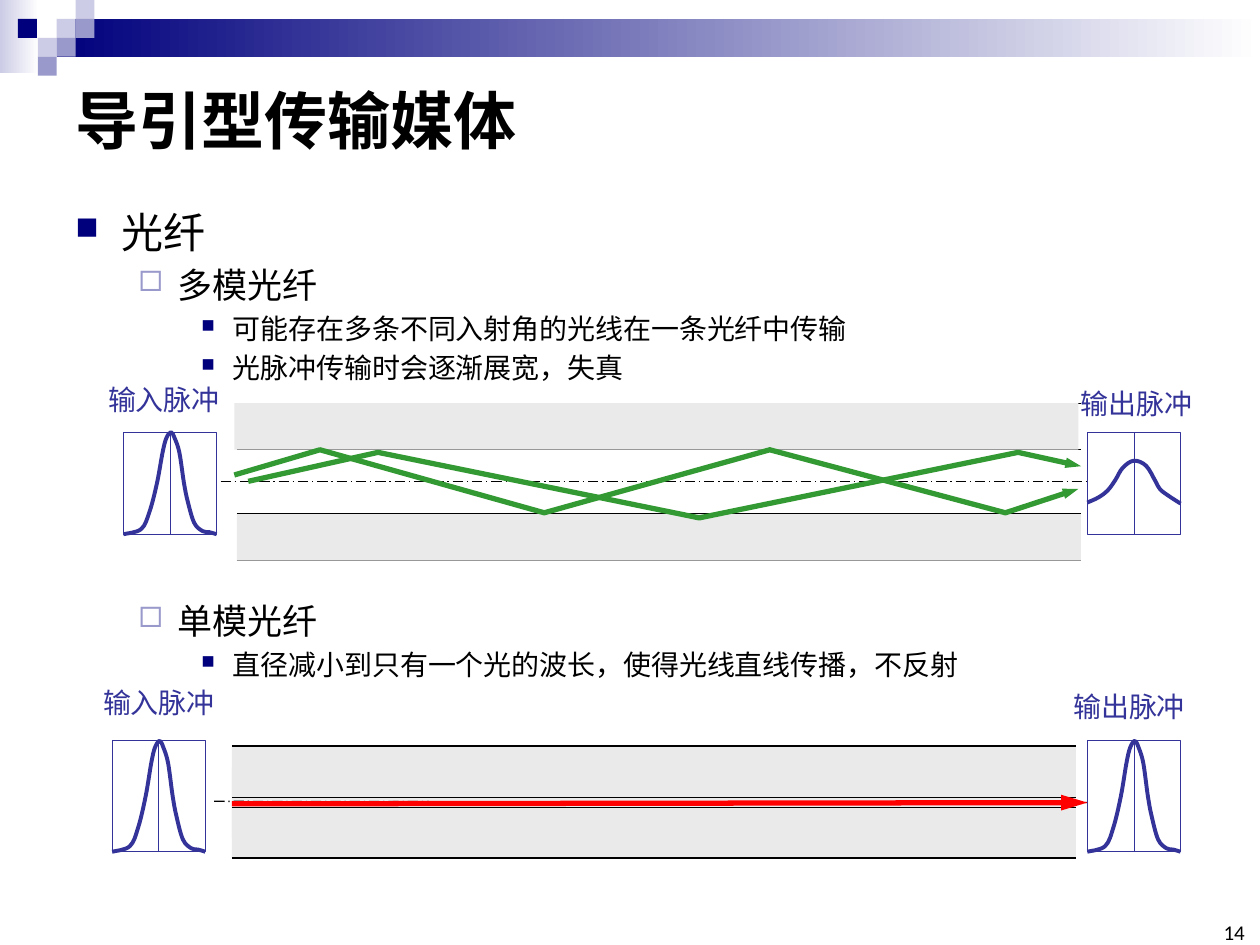
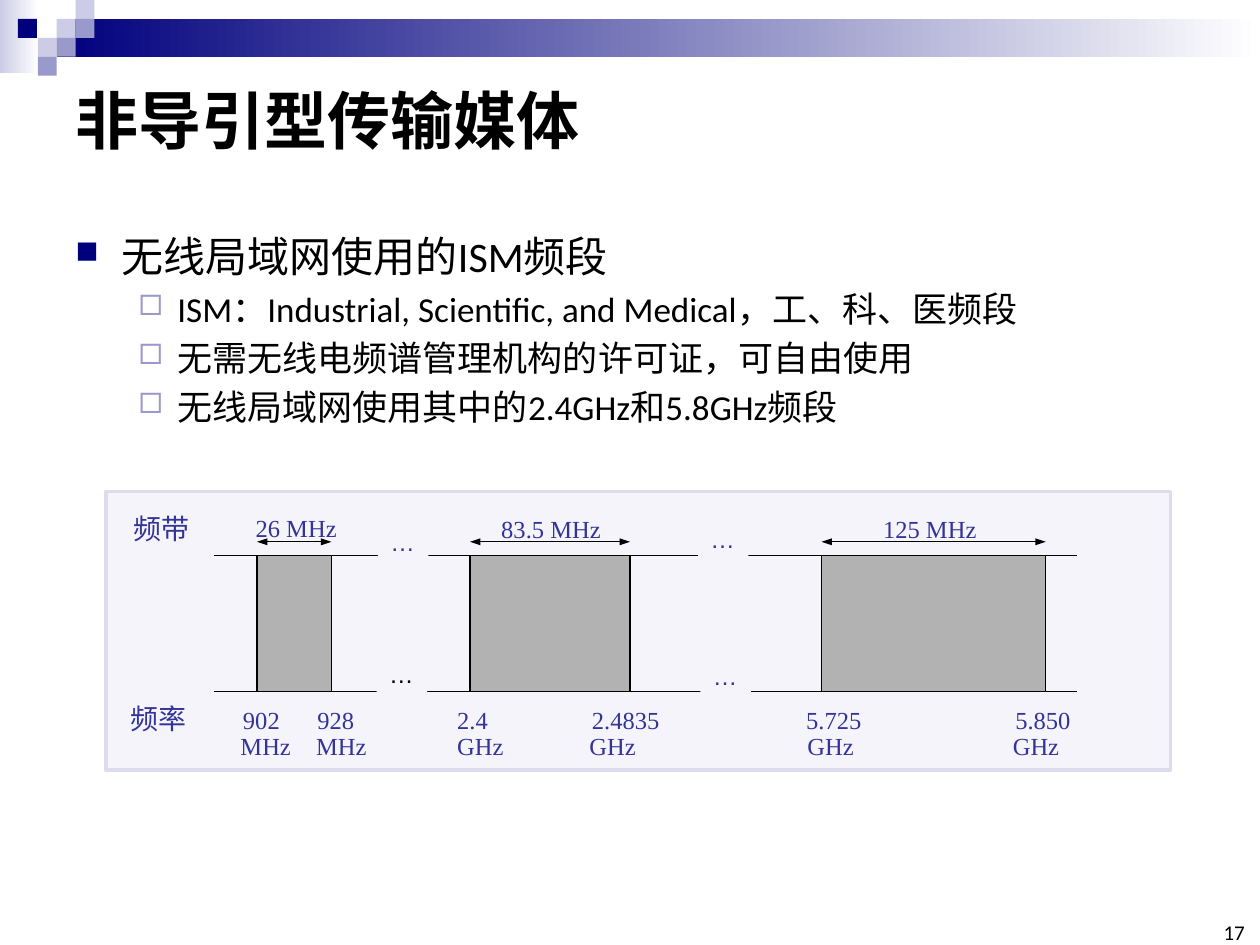
"""Builds two slides on guided and unguided transmission media."""
from lxml.etree import SubElement
from pptx import Presentation
from pptx.dml.color import RGBColor
from pptx.enum.dml import MSO_LINE
from pptx.enum.shapes import MSO_CONNECTOR, MSO_SHAPE
from pptx.enum.text import MSO_ANCHOR, MSO_AUTO_SIZE, PP_ALIGN
from pptx.oxml.ns import qn
from pptx.util import Inches, Pt

COLORS = {
    "black": "000000", "white": "FFFFFF", "navy": "00007D", "violet": "9999CC",
    "lilac": "CCCCE6", "ink": "333399", "cladding": "EAEAEA", "ray": "339933",
    "beam": "FF0000", "panel": "F4F4FA", "panel edge": "DCDCEC", "band": "B2B2B2",
}
RGB = {name: RGBColor.from_string(value) for name, value in COLORS.items()}
CELL = Inches(0.1)
COLUMNS, ROWS = 100, 75
CJK, LATIN, SERIF = "Noto Sans CJK SC", "Calibri", "Times New Roman"
LEVELS = [
    {"size": 24, "margin": 0.37, "hang": 0.37, "bullet": "n", "color": "navy", "scale": 75},
    {"size": 20, "margin": 0.81, "hang": 0.31, "bullet": "¨", "color": "violet", "scale": 80},
    {"size": 16, "margin": 1.25, "hang": 0.25, "bullet": "n", "color": "navy", "scale": 65},
]


def draw(slide, kind, grid, fill=None, line=None, weight=0.75, ends=(), tip=("sm", "med"), dash=None):
    if kind in ("path", "curve"):
        points = [(round(x * CELL), round(y * CELL)) for x, y in grid]
        builder = slide.shapes.build_freeform(*points[0])
        shape = builder.add_line_segments(points[1:], close=False).convert_to_shape()
    else:
        lengths = [round(cells * CELL) for cells in grid]
        if kind == "rect":
            shape = slide.shapes.add_shape(MSO_SHAPE.RECTANGLE, *lengths)
        else:
            shape = slide.shapes.add_connector(MSO_CONNECTOR.STRAIGHT, *lengths)
    if kind == "curve":
        knots = [(x - shape.left, y - shape.top) for x, y in points]
        padded = [knots[0], *knots, knots[-1]]
        segments = list(shape._element.iter(qn("a:lnTo")))
        for segment, a, b, c, d in zip(segments, padded, padded[1:], padded[2:], padded[3:]):
            bend = SubElement(segment.getparent(), qn("a:cubicBezTo"))
            leave = [q + (r - p) / 6 for p, q, r in zip(a, b, c)]
            arrive = [r - (s - q) / 6 for q, r, s in zip(b, c, d)]
            for x, y in (leave, arrive, c):
                SubElement(bend, qn("a:pt"), x=str(round(x)), y=str(round(y)))
            segment.getparent().replace(segment, bend)
    if line:
        shape.line.color.rgb = RGB[line]
        shape.line.width = Pt(weight)
        if dash:
            shape.line.dash_style = dash
        for end in ends:
            SubElement(shape.line._get_or_add_ln(), qn(f"a:{end}End"),
                       type="triangle", w=tip[0], len=tip[1])
    else:
        shape.line.fill.background()
    if kind == "line":
        SubElement(shape._element.spPr, qn("a:effectLst"))
        return shape
    shape.shadow.inherit = False
    if isinstance(fill, tuple):
        shape.fill.gradient()
        shape.fill.gradient_angle = 0
        for stop, name in zip(shape.fill.gradient_stops, fill):
            stop.color.rgb = RGB[name]
    elif fill:
        shape.fill.solid()
        shape.fill.fore_color.rgb = RGB[fill]
    else:
        shape.fill.background()
    return shape


def write(frame, lines, font, size=16, color="ink", spacing=None, bold=False):
    for index, line in enumerate(lines):
        paragraph = frame.paragraphs[0] if index == 0 else frame.add_paragraph()
        level, text = line if isinstance(line, tuple) else (None, line)
        paragraph.text = text
        paragraph.alignment = PP_ALIGN.LEFT
        if spacing:
            paragraph.line_spacing = spacing
        points = size
        if level is not None:
            style = LEVELS[level]
            points = style["size"]
            paragraph.level = level
            paragraph.space_before = Pt(0.2 * points)
            if level == 0:
                paragraph.line_spacing = 1.5
            props = paragraph._p.get_or_add_pPr()
            props.set("marL", str(Inches(style["margin"])))
            props.set("indent", str(-Inches(style["hang"])))
            tint = SubElement(props, qn("a:buClr"))
            SubElement(tint, qn("a:srgbClr"), val=COLORS[style["color"]])
            SubElement(props, qn("a:buSzPct"), val=str(style["scale"] * 1000))
            SubElement(props, qn("a:buFont"), typeface="Wingdings", charset="2")
            SubElement(props, qn("a:buChar"), char=style["bullet"])
        paragraph.font.size = Pt(points)
        paragraph.font.bold = bold
        paragraph.font.color.rgb = RGB[color]
        paragraph.font.name = font
        SubElement(paragraph.font._rPr, qn("a:ea"), typeface=CJK)


deck = Presentation()
deck.slide_width, deck.slide_height = COLUMNS * CELL, ROWS * CELL

CHECKER = 1.5
CHECKS = [(3, 1, "lilac"), (4, 0, "lilac"), (4, 1, "violet"), (2, 2, "lilac"),
          (0.95, 1, "navy"), (3, 2, "violet"), (2, 3, "violet")]
PAGES = [
    ("导引型传输媒体", "14", [
        (13.9, 17.6, [(0, "光纤"), (1, "多模光纤"),
                      (2, "可能存在多条不同入射角的光线在一条光纤中传输"),
                      (2, "光脉冲传输时会逐渐展宽，失真")]),
        (47.1, 8.9, [(1, "单模光纤"),
                     (2, "直径减小到只有一个光的波长，使得光线直线传播，不反射")]),
    ]),
    ("非导引型传输媒体", "17", [
        (15.8, 19.8, [(0, "无线局域网使用的ISM频段"),
                      (1, "ISM：Industrial, Scientific, and Medical，工、科、医频段"),
                      (1, "无需无线电频谱管理机构的许可证，可自由使用"),
                      (1, "无线局域网使用其中的2.4GHz和5.8GHz频段")]),
    ]),
]
for heading, number, outlines in PAGES:
    slide = deck.slides.add_slide(deck.slide_layouts[5])
    draw(slide, "rect", (0, 0, 3.1, 5.8), ("lilac", "white"))
    draw(slide, "rect", (4.5, 1.5, COLUMNS - 4.5, 3), ("navy", "white"))
    for column, row, color in CHECKS:
        draw(slide, "rect", (column * CHECKER, row * CHECKER, CHECKER, CHECKER), color)
    title = slide.shapes.title
    title.left, title.top, title.width, title.height = [
        round(cells * CELL) for cells in (5, 5, 90, 8.9)]
    title.text_frame.vertical_anchor = MSO_ANCHOR.MIDDLE
    write(title.text_frame, [heading], CJK, 36, "black", bold=True)
    for top, height, bullets in outlines:
        body = slide.shapes.add_textbox(5 * CELL, round(top * CELL), 90 * CELL, round(height * CELL))
        body.text_frame.word_wrap = True
        write(body.text_frame, bullets, LATIN, color="black")
    footer = slide.shapes.add_textbox(*[round(cells * CELL) for cells in (96.5, 73.3, 2.3, 1.7)])
    frame = footer.text_frame
    frame.margin_left = frame.margin_top = frame.margin_right = frame.margin_bottom = 0
    frame.vertical_anchor = MSO_ANCHOR.BOTTOM
    write(frame, [number], LATIN, 12, "black")
    frame.paragraphs[0].alignment = PP_ALIGN.RIGHT

fiber, spectrum = deck.slides
labels = []

FIBER_WIDTH = 67
FIBERS = [
    (18.8, [32, 35.7, 40.8, 44.5], (17.5, 38.2, 86.9, 38.2),
     [(18.6, 32, 3.7), (18.8, 40.8, 3.7)], ("edges", "claddings")),
    (18.4, [59.2, 63.3, 64.1, 68.1], (17, 63.6, 86.5, 63.7),
     [(18.4, 60.9, 5.6), (18.4, 59.2, 4), (18.4, 64.1, 4)], ("claddings", "edges")),
]
for left, edges, axis, claddings, layers in FIBERS:
    for layer in layers:
        if layer == "claddings":
            for cladding_left, top, height in claddings:
                draw(fiber, "rect", (cladding_left, top, FIBER_WIDTH, height), "cladding")
        else:
            for edge in edges:
                draw(fiber, "line", (left, edge, left + FIBER_WIDTH, edge), line="black")
            draw(fiber, "line", axis, line="black", dash=MSO_LINE.LONG_DASH_DOT)

NARROW = [(0, 0), (0.19, 0.05), (0.28, 0.22), (0.36, 0.5), (0.42, 0.8), (0.46, 0.94),
          (0.51, 1), (0.55, 0.94), (0.6, 0.8), (0.65, 0.5), (0.69, 0.32), (0.76, 0.11),
          (0.85, 0.03), (0.92, 0.02), (1, 0)]
BROAD = [(0, 0.31), (0.12, 0.36), (0.22, 0.43), (0.3, 0.53), (0.38, 0.65), (0.5, 0.72),
         (0.63, 0.67), (0.73, 0.52), (0.78, 0.44), (0.88, 0.37), (1, 0.3)]
PULSE_WIDTH = 7.4
PULSES = [
    (8.9, 58.8, 8.8, 0.5, NARROW, "输入脉冲", 7.2, 53.9),
    (86.3, 58.8, 8.8, 0.5, NARROW, "输出脉冲", 84.2, 54.2),
    (9.8, 34.3, 8.1, 0.75, NARROW, "输入脉冲", 7.6, 29.9),
    (86.3, 34.3, 8.1, 0.75, BROAD, "输出脉冲", 84.8, 30.2),
]
for left, top, height, weight, knots, caption, caption_left, caption_top in PULSES:
    window = draw(fiber, "rect", (left, top, PULSE_WIDTH, height), "white", "ink", weight)
    middle = draw(fiber, "line", (left, top, left, top + height), line="ink", weight=0.5)
    middle.begin_connect(window, 0)
    middle.end_connect(window, 2)
    trace = [(left + x * PULSE_WIDTH, top + (1 - y) * height) for x, y in knots]
    draw(fiber, "curve", trace, line="ink", weight=2.25)
    labels.append((fiber, caption, (caption_left, caption_top, 11, 3.7), CJK, 16, "ink", None, None))

RAYS = [
    [(19.7, 38.2), (30, 35.9), (55.5, 41.1), (80.8, 35.9), (85.8, 37)],
    [(18.6, 37.7), (25.4, 35.7), (43.2, 40.7), (61.1, 35.7), (79.8, 40.7), (85.6, 38.8)],
]
for bounces in RAYS:
    draw(fiber, "path", bounces, line="ray", weight=3, ends=["tail"])
draw(fiber, "line", (18.4, 63.8, 86.3, 63.7), line="beam", weight=3, ends=["tail"], tip=("med", "lg"))

BAND_TOP, BAND_HEIGHT, ARROW_ROW = 44.1, 10.8, 43
draw(spectrum, "rect", (8.4, 39, 84.5, 22.1), "panel", "panel edge", 2)
for row in (BAND_TOP, BAND_TOP + BAND_HEIGHT):
    draw(spectrum, "line", (17, row, 85.5, row), line="black")
BANDS = [
    (20.4, 5.9, "26 MHz", 19.3, 40.2, 8.5),
    (37.3, 12.7, "83.5 MHz", 38.8, 40.3, 10),
    (65.2, 17.8, "125 MHz", 69.1, 40.3, 9.5),
]
for left, width, span, span_left, span_top, span_width in BANDS:
    draw(spectrum, "rect", (left, BAND_TOP, width, BAND_HEIGHT), "band", "black")
    draw(spectrum, "line", (left, ARROW_ROW, left + width, ARROW_ROW), line="black",
         ends=["head", "tail"])
    labels.append((spectrum, span, (span_left, span_top, span_width, 3.4), SERIF, 14, "ink", None, None))

GAPS = [(30, 41.3, "ink"), (29.9, 51.8, "black"), (55.4, 41.1, "ink"), (55.6, 52, "ink")]
for left, top, color in GAPS:
    labels.append((spectrum, "…", (left, top, 4, 3.4), "Arial", 14, color, None, "panel"))
labels.append((spectrum, "频带", (9.6, 40.5, 6.5, 3.3), CJK, 16, "ink", 0.85, None))

for slide, text, grid, font, size, color, spacing, fill in labels:
    if fill:
        label = draw(slide, "rect", grid, fill)
        label.text_frame.vertical_anchor = MSO_ANCHOR.TOP
    else:
        label = slide.shapes.add_textbox(*[round(cells * CELL) for cells in grid])
    label.text_frame.word_wrap = False
    label.text_frame.auto_size = MSO_AUTO_SIZE.SHAPE_TO_FIT_TEXT
    write(label.text_frame, [text], font, size, color, spacing)

FREQUENCIES = [
    (["902", "928", "2.4", "2.4835", "5.725", "5.850"], [0.89, 1.48, 2.59, 3.66, 5.36, 7.02]),
    (["MHz", "MHz", "GHz", "GHz", "GHz", "GHz"], [0.87, 1.47, 2.59, 3.64, 5.37, 7]),
]
scale = spectrum.shapes.add_textbox(*[round(cells * CELL) for cells in (9.4, 55.6, 77.3, 5.3)])
scale.text_frame.word_wrap = True
write(scale.text_frame, ["频率", ""], CJK, spacing=0.85)
for paragraph, (entries, stops) in zip(scale.text_frame.paragraphs, FREQUENCIES):
    tabs = SubElement(paragraph._p.get_or_add_pPr(), qn("a:tabLst"))
    for stop in stops:
        SubElement(tabs, qn("a:tab"), pos=str(Inches(stop)), algn="l")
    paragraph.font._rPr.addprevious(tabs)
    run = paragraph.add_run()
    run.text = "".join(f"\t{entry}" for entry in entries)
    run.font.size = Pt(14)
    run.font.name = SERIF

deck.save("out.pptx")
